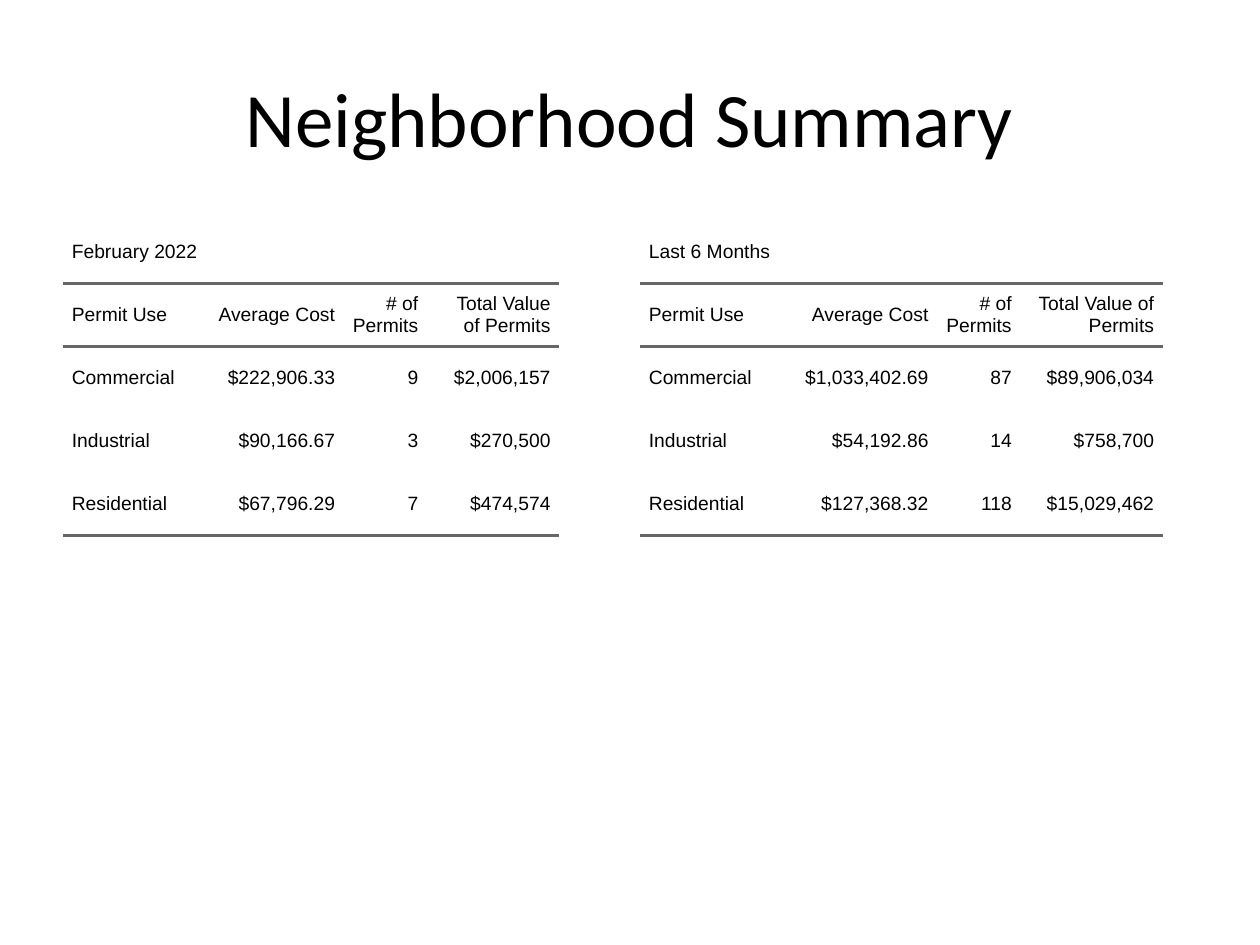
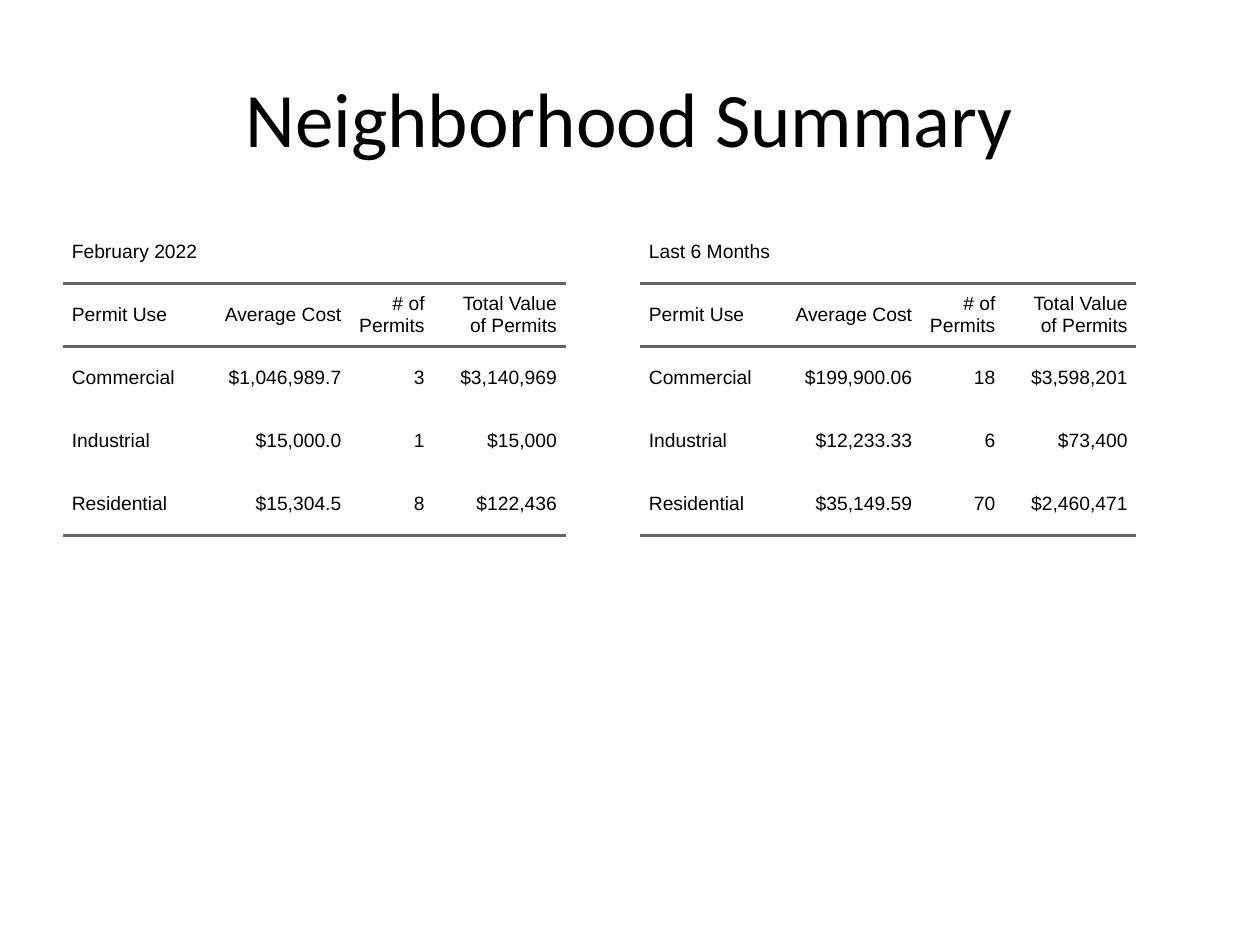
from pptx import Presentation
from pptx.dml.color import RGBColor
from pptx.enum.text import MSO_ANCHOR, PP_ALIGN
from pptx.oxml.ns import qn
from pptx.util import Inches, Pt
from lxml.etree import SubElement

COLOURS = {"text": "000000", "rule": "666666"}
TITLE_FONT, TABLE_FONT = "Calibri", "Arial"
PLAIN_TABLE_STYLE = "{2D5ABB26-0587-4C30-8999-92F81FD0307C}"

TITLE = "Neighborhood Summary"
HEADINGS = ["Permit Use", "Average Cost", "# of Permits", "Total Value of Permits"]
PERMIT_USES = ["Commercial", "Industrial", "Residential"]
TABLE_TOP, ROW_HEIGHT, CELL_PADDING = 1.75, 0.5, 0.07
USE_WIDTH, COUNT_WIDTH = 1.1, 0.66

# Each period: caption, left edge, average cost width, total value width,
# then average cost, number of permits and total value for each permit use
NEIGHBORHOODS = [
    [
        ("February 2022", 0.5, 1.13, 1.05, [
            ("$222,906.33", "9", "$2,006,157"),
            ("$90,166.67", "3", "$270,500"),
            ("$67,796.29", "7", "$474,574"),
        ]),
        ("Last 6 Months", 5.08, 1.26, 1.13, [
            ("$1,033,402.69", "87", "$89,906,034"),
            ("$54,192.86", "14", "$758,700"),
            ("$127,368.32", "118", "$15,029,462"),
        ]),
    ],
    [
        ("February 2022", 0.5, 1.18, 1.05, [
            ("$1,046,989.7", "3", "$3,140,969"),
            ("$15,000.0", "1", "$15,000"),
            ("$15,304.5", "8", "$122,436"),
        ]),
        ("Last 6 Months", 5.08, 1.13, 1.05, [
            ("$199,900.06", "18", "$3,598,201"),
            ("$12,233.33", "6", "$73,400"),
            ("$35,149.59", "70", "$2,460,471"),
        ]),
    ],
]


def write(frame, text, font, size, align):
    paragraph = frame.paragraphs[0]
    paragraph.alignment = align
    run = paragraph.add_run()
    run.text = text
    run.font.name = font
    run.font.size = Pt(size)
    run.font.color.rgb = RGBColor.from_string(COLOURS["text"])


def add_title(slide):
    title = slide.shapes.add_textbox(Inches(0.5), Inches(0.3), Inches(9), Inches(1.25))
    title.text_frame.word_wrap = True
    title.text_frame.vertical_anchor = MSO_ANCHOR.MIDDLE
    write(title.text_frame, TITLE, TITLE_FONT, 44, PP_ALIGN.CENTER)


def add_rule(cell, edge):
    """Draw a grey rule on one edge of a cell: lnT (top) or lnB (bottom)."""
    rule = SubElement(cell._tc.get_or_add_tcPr(), qn(f"a:{edge}"), w=str(Pt(2)))
    fill = SubElement(rule, qn("a:solidFill"))
    SubElement(fill, qn("a:srgbClr"), val=COLOURS["rule"])


def fill_cell(cell, text, align, rules=()):
    cell.margin_left = cell.margin_right = Inches(CELL_PADDING)
    cell.margin_top = cell.margin_bottom = 0
    cell.vertical_anchor = MSO_ANCHOR.MIDDLE
    for edge in rules:
        add_rule(cell, edge)
    cell.fill.background()
    if text:
        write(cell.text_frame, text, TABLE_FONT, 11, align)


def add_permit_table(slide, caption, left, cost_width, value_width, figures):
    widths = [USE_WIDTH, cost_width, COUNT_WIDTH, value_width]
    permits = [(use, *values) for use, values in zip(PERMIT_USES, figures)]
    rows = [[caption, "", "", ""], HEADINGS, *permits]
    rules = {1: ("lnT", "lnB"), len(rows) - 1: ("lnB",)}

    frame = slide.shapes.add_table(
        len(rows), len(widths), Inches(left), Inches(TABLE_TOP),
        Inches(sum(widths)), Inches(ROW_HEIGHT * len(rows)))
    table = frame.table
    table.first_row = table.horz_banding = False
    table._tbl.tblPr.find(qn("a:tableStyleId")).text = PLAIN_TABLE_STYLE
    for column, width in zip(table.columns, widths):
        column.width = Inches(width)

    # The caption spans the whole first row
    table.cell(0, 0).merge(table.cell(0, len(widths) - 1))
    for r, row in enumerate(rows):
        for c, text in enumerate(row):
            align = PP_ALIGN.RIGHT if c else PP_ALIGN.LEFT
            fill_cell(table.cell(r, c), text, align, rules.get(r, ()))


def main():
    deck = Presentation()
    deck.slide_width, deck.slide_height = Inches(10), Inches(7.5)
    for periods in NEIGHBORHOODS:
        slide = deck.slides.add_slide(deck.slide_layouts[6])
        for period in periods:
            add_permit_table(slide, *period)
        add_title(slide)
    deck.save("out.pptx")


if __name__ == "__main__":
    main()
